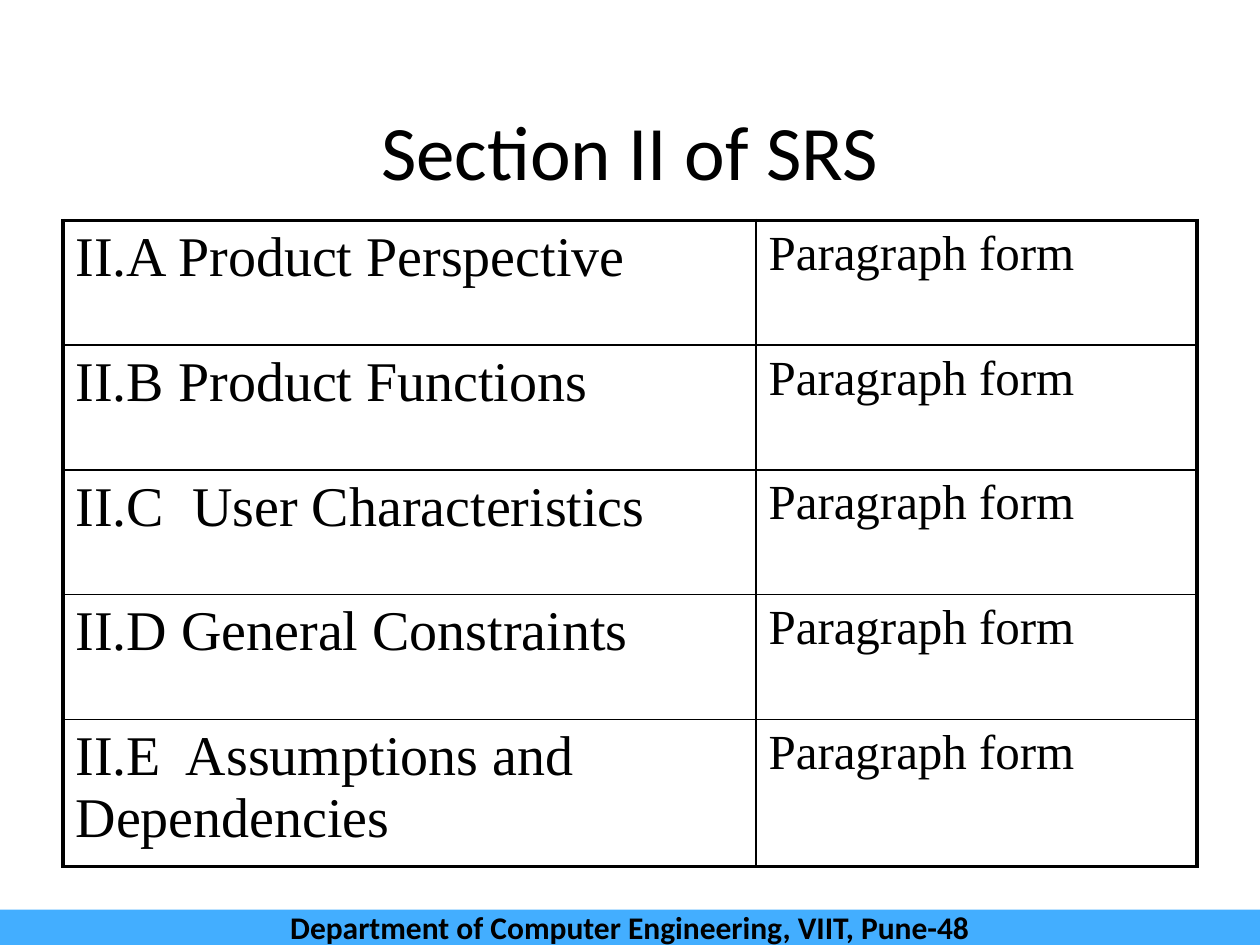
from dataclasses import dataclass

from lxml import etree
from pptx import Presentation
from pptx.dml.color import RGBColor
from pptx.enum.shapes import MSO_SHAPE
from pptx.enum.text import MSO_ANCHOR, PP_ALIGN
from pptx.oxml.ns import qn
from pptx.slide import Slide
from pptx.table import _Cell
from pptx.text.text import TextFrame
from pptx.util import Inches, Pt

RECTANGLE = MSO_SHAPE.RECTANGLE
MIDDLE = MSO_ANCHOR.MIDDLE
CENTER, LEFT = PP_ALIGN.CENTER, PP_ALIGN.LEFT


@dataclass(frozen=True)
class TextStyle:
    font: str
    size: float
    bold: bool = False
    alignment: PP_ALIGN = LEFT


@dataclass(frozen=True)
class Theme:
    ink: RGBColor = RGBColor(0x00, 0x00, 0x00)
    band: RGBColor = RGBColor(0x43, 0xAE, 0xFF)
    title: TextStyle = TextStyle("Calibri", 44, alignment=CENTER)
    topic: TextStyle = TextStyle("Times New Roman", 32)
    form: TextStyle = TextStyle("Times New Roman", 28)
    footer: TextStyle = TextStyle("Calibri", 18, bold=True, alignment=CENTER)
    outer_border: float = 2.25
    inner_border: float = 1


@dataclass(frozen=True)
class Section:
    topic: str
    form: str = "Paragraph form"


THEME = Theme()
COLUMN_WIDTHS = (5.5, 3.5)
ROW_HEIGHT = 0.99
SECTIONS = (
    Section("II.A Product Perspective"),
    Section("II.B Product Functions"),
    Section("II.C  User Characteristics"),
    Section("II.D General Constraints"),
    Section("II.E  Assumptions and Dependencies"),
)


def write_text(frame: TextFrame, text: str, style: TextStyle) -> None:
    frame.word_wrap = True
    paragraph = frame.paragraphs[0]
    paragraph.alignment = style.alignment
    run = paragraph.add_run()
    run.text = text
    run.font.name = style.font
    run.font.size = Pt(style.size)
    run.font.bold = style.bold
    run.font.color.rgb = THEME.ink


def set_borders(cell: _Cell, widths: dict[str, float]) -> None:
    """Add solid borders ahead of the cell fill, as the schema requires."""
    properties = cell._tc.get_or_add_tcPr()
    for index, (side, width) in enumerate(widths.items()):
        line = etree.Element(qn(f"a:{side}"), w=str(Pt(width)))
        fill = etree.SubElement(line, qn("a:solidFill"))
        etree.SubElement(fill, qn("a:srgbClr"), val=str(THEME.ink))
        properties.insert(index, line)


def add_title(slide: Slide) -> None:
    box = slide.shapes.add_textbox(Inches(0.75), Inches(0.67), Inches(8.5), Inches(1.03))
    box.text_frame.vertical_anchor = MIDDLE
    write_text(box.text_frame, "Section II of SRS", THEME.title)


def add_section_table(slide: Slide) -> None:
    row_count, column_count = len(SECTIONS), len(COLUMN_WIDTHS)
    table = slide.shapes.add_table(
        row_count, column_count, Inches(0.5), Inches(1.75),
        Inches(sum(COLUMN_WIDTHS)), Inches(ROW_HEIGHT * row_count),
    ).table
    table.first_row = False
    table.horz_banding = False
    for column, width in zip(table.columns, COLUMN_WIDTHS):
        column.width = Inches(width)

    def border(is_outer: bool) -> float:
        return THEME.outer_border if is_outer else THEME.inner_border

    for row_index, section in enumerate(SECTIONS):
        table.rows[row_index].height = Inches(ROW_HEIGHT)
        contents = ((section.topic, THEME.topic), (section.form, THEME.form))
        for column_index, (text, style) in enumerate(contents):
            cell = table.cell(row_index, column_index)
            cell.fill.background()
            write_text(cell.text_frame, text, style)
            set_borders(cell, {
                "lnL": border(column_index == 0),
                "lnR": border(column_index == column_count - 1),
                "lnT": border(row_index == 0),
                "lnB": border(row_index == row_count - 1),
            })


def add_footer(slide: Slide) -> None:
    band = slide.shapes.add_shape(
        RECTANGLE, Inches(0), Inches(7.22), Inches(10), Inches(0.28)
    )
    band.shadow.inherit = False
    band.fill.solid()
    band.fill.fore_color.rgb = THEME.band
    band.line.fill.background()
    band.text_frame.vertical_anchor = MIDDLE
    write_text(
        band.text_frame, "Department of Computer Engineering, VIIT, Pune-48", THEME.footer
    )


def main() -> None:
    presentation = Presentation()
    presentation.slide_width = Inches(10)
    presentation.slide_height = Inches(7.5)
    slide = presentation.slides.add_slide(presentation.slide_layouts[6])

    # Heading, table of sections, department band
    add_title(slide)
    add_section_table(slide)
    add_footer(slide)
    presentation.save("out.pptx")


if __name__ == "__main__":
    main()
